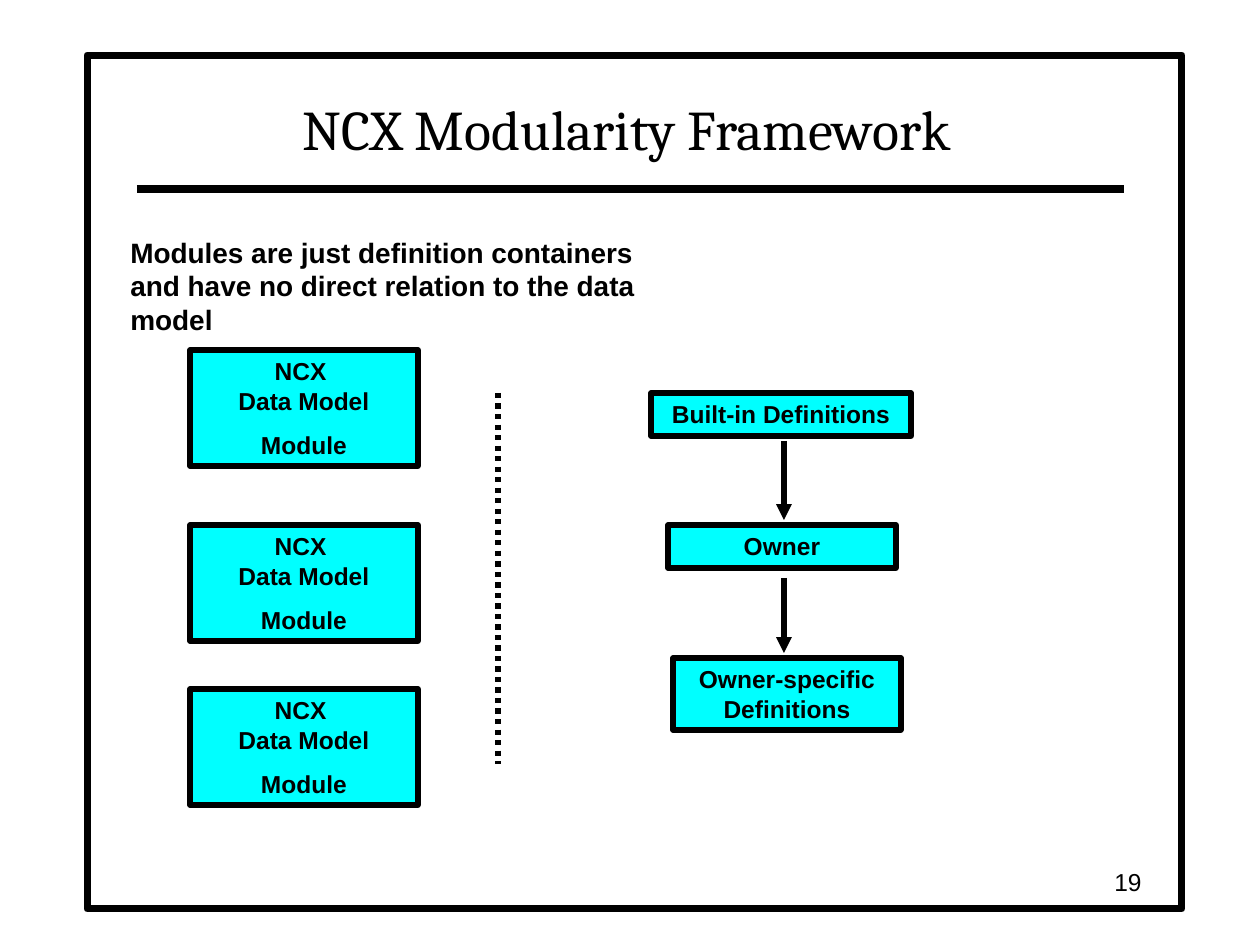
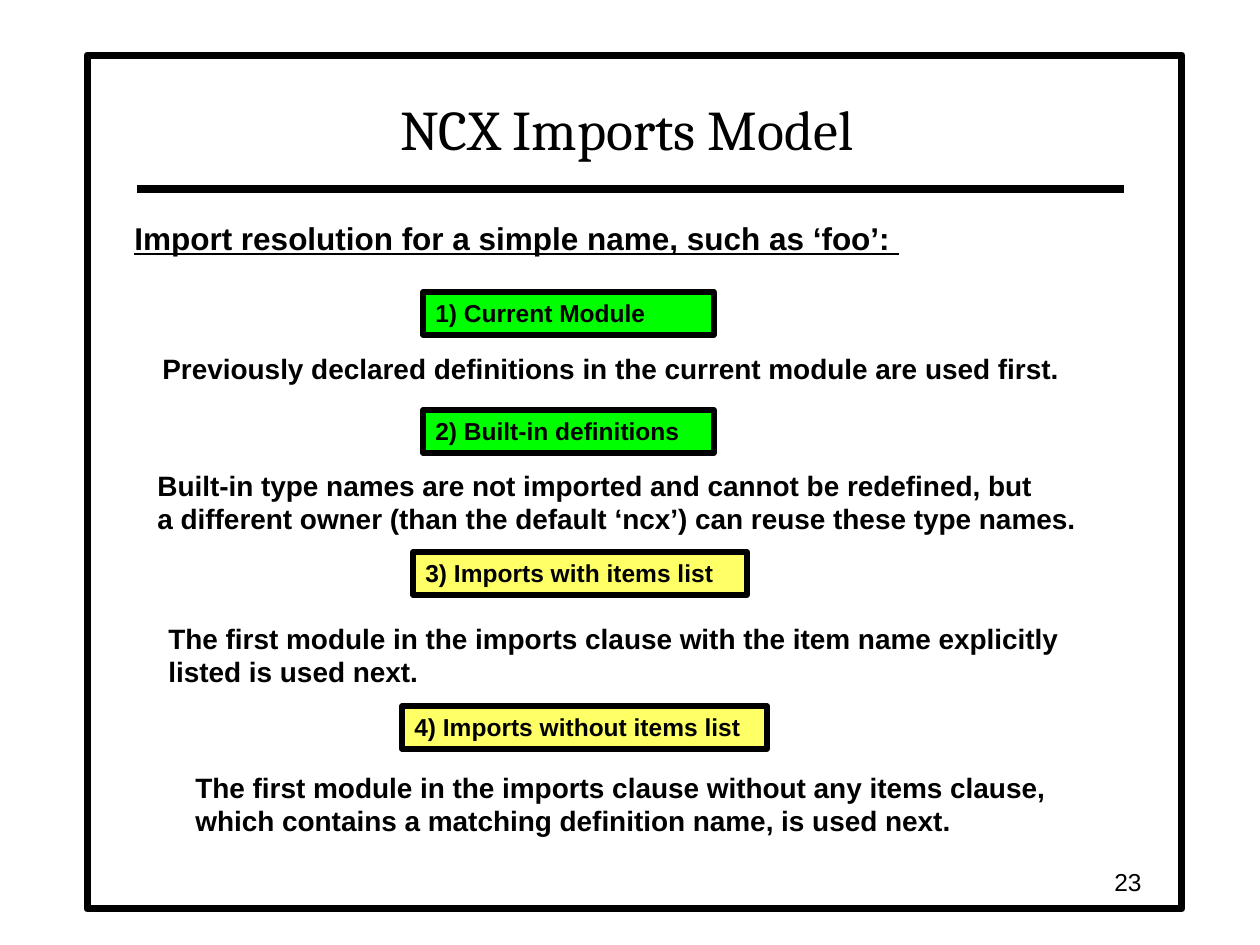
"""Builds two slides on NCX modules: the modularity framework and the imports model."""
from dataclasses import dataclass

from lxml.etree import SubElement
from pptx import Presentation
from pptx.dml.color import RGBColor
from pptx.enum.dml import MSO_LINE
from pptx.enum.shapes import MSO_CONNECTOR, MSO_SHAPE
from pptx.enum.text import MSO_ANCHOR, MSO_AUTO_SIZE, PP_ALIGN
from pptx.oxml.ns import qn
from pptx.util import Emu, Pt


@dataclass(frozen=True)
class Theme:
    black: str = "000000"
    white: str = "FFFFFF"
    cyan: str = "00FFFF"
    green: str = "00FF00"
    yellow: str = "FFFF66"
    title_font: str = "Cambria"
    body_font: str = "Arial"
    title_size: int = 32
    heading_size: int = 18
    note_size: int = 16
    label_size: int = 14
    paragraph_gap: float = 8.8
    frame_line: float = 4
    rule_line: float = 4.5
    shape_line: float = 3


THEME = Theme()
EMU_PER_PX = 914400 // 126
SLIDE_SIZE = (1260, 945)
FRAME = (87, 55, 1095, 854)
RULE = (137, 189, 1124, 189)
TITLE = (136, 73, 982, 95)
PAGE_NUMBER = (892, 861, 262, 42)
LABEL_HEIGHT = 43
NOTE_HEIGHTS = {1: 47, 2: 81}

FRAMEWORK = {
    "title": "NCX Modularity Framework",
    "number": "19",
    "note": ("Modules are just definition containers\n"
             "and have no direct relation to the data model", 118, 229, 619),
    "module": ["NCX \nData Model", "Module"],
    "module_left": 190,
    "module_size": (228, 116),
    "module_tops": [350, 525, 689],
    "chain": [
        ("Built-in Definitions", (651, 393, 260, LABEL_HEIGHT)),
        ("Owner", (668, 525, 228, LABEL_HEIGHT)),
        ("Owner-specific\nDefinitions", (673, 658, 228, 72)),
    ],
    "arrow_x": 784,
    "arrow_spans": [(441, 520), (578, 653)],
    "divider": (498, 393, 498, 764),
}

IMPORTS = {
    "title": "NCX Imports Model",
    "number": "23",
    "heading": ("Import resolution for a simple name, such as ‘foo’: ", (122, 213, 790, 50)),
    "steps": [
        ("1) Current Module", THEME.green, 423, 292, 291),
        ("2) Built-in definitions", THEME.green, 423, 410, 291),
        ("3) Imports with items list", THEME.yellow, 413, 552, 334),
        ("4) Imports without items list", THEME.yellow, 402, 706, 365),
    ],
    "notes": [
        ("Previously declared definitions in the current module are used first.",
         150, 345, 930),
        ("Built-in type names are not imported and cannot be redefined, but\n"
         "a different owner (than the default ‘ncx’) can reuse these type names.",
         145, 462, 944),
        ("The first module in the imports clause with the item name explicitly \n"
         "listed is used next.", 156, 615, 924),
        ("The first module in the imports clause without any items clause,\n"
         "which contains a matching definition name, is used next.", 183, 764, 876),
    ],
}


def px(*lengths):
    return [Emu(length * EMU_PER_PX) for length in lengths]


def color(value):
    return RGBColor.from_string(value)


def write(box, paragraphs, size, align=PP_ALIGN.LEFT, bold=True, font=THEME.body_font,
          underline=None):
    frame = box.text_frame
    for index, text in enumerate(paragraphs):
        para = frame.add_paragraph() if index else frame.paragraphs[0]
        para.text = text
        para.alignment = align
        para.space_before = Pt(THEME.paragraph_gap if index else 0)
        para.font.name = font
        para.font.size = Pt(size)
        para.font.bold = bold
        para.font.underline = underline
        para.font.color.rgb = color(THEME.black)


def add_box(page, place, fill, line_width=THEME.shape_line):
    box = page.shapes.add_shape(MSO_SHAPE.RECTANGLE, *px(*place))
    box.shadow.inherit = False
    box.fill.solid()
    box.fill.fore_color.rgb = color(fill)
    box.line.color.rgb = color(THEME.black)
    box.line.width = Pt(line_width)
    return box


def add_label(page, place, fill, paragraphs, align=PP_ALIGN.CENTER):
    box = add_box(page, place, fill)
    box.text_frame.word_wrap = True
    box.text_frame.vertical_anchor = MSO_ANCHOR.TOP
    box.text_frame.auto_size = MSO_AUTO_SIZE.SHAPE_TO_FIT_TEXT
    write(box, paragraphs, THEME.label_size, align)


def add_text(page, place, text, size, underline=None):
    box = page.shapes.add_textbox(*px(*place))
    box.text_frame.word_wrap = False
    box.text_frame.auto_size = MSO_AUTO_SIZE.SHAPE_TO_FIT_TEXT
    write(box, [text], size, underline=underline)


def add_note(page, text, left, top, width):
    height = NOTE_HEIGHTS[len(text.splitlines())]
    add_text(page, (left, top, width, height), text, THEME.note_size)


def add_line(page, ends, width=THEME.shape_line, dash=None, arrow=False):
    connector = page.shapes.add_connector(MSO_CONNECTOR.STRAIGHT, *px(*ends))
    connector.line.color.rgb = color(THEME.black)
    connector.line.width = Pt(width)
    if dash:
        connector.line.dash_style = dash
    properties = connector.element.spPr
    if arrow:
        SubElement(properties.find(qn("a:ln")), qn("a:tailEnd"), type="triangle")
    SubElement(properties, qn("a:effectLst"))
    return connector


def decorate_layout(page):
    parts = [add_box(page, FRAME, THEME.white, THEME.frame_line),
             add_line(page, RULE, THEME.rule_line)]
    for number, part in enumerate(parts, start=101):
        part.element.xpath(".//p:cNvPr")[0].set("id", str(number))
        page.slide_layout.shapes.element.append(part.element)


def add_page(deck, content):
    page = deck.slides.add_slide(deck.slide_layouts[5])
    title = page.shapes.title
    title.left, title.top, title.width, title.height = px(*TITLE)
    title.text_frame.word_wrap = True
    title.text_frame.auto_size = MSO_AUTO_SIZE.NONE
    title.text_frame.vertical_anchor = MSO_ANCHOR.BOTTOM
    write(title, [content["title"]], THEME.title_size, PP_ALIGN.CENTER, False,
          THEME.title_font)
    number = page.shapes.add_textbox(*px(*PAGE_NUMBER))
    number.text_frame.word_wrap = True
    number.text_frame.vertical_anchor = MSO_ANCHOR.MIDDLE
    write(number, [content["number"]], THEME.label_size, PP_ALIGN.RIGHT, False)
    return page


def fill_framework(page):
    add_note(page, *FRAMEWORK["note"])
    for top in FRAMEWORK["module_tops"]:
        place = (FRAMEWORK["module_left"], top, *FRAMEWORK["module_size"])
        add_label(page, place, THEME.cyan, FRAMEWORK["module"])
    add_line(page, FRAMEWORK["divider"], dash=MSO_LINE.ROUND_DOT)
    for text, place in FRAMEWORK["chain"]:
        add_label(page, place, THEME.cyan, [text])
    arrow_x = FRAMEWORK["arrow_x"]
    for start, end in FRAMEWORK["arrow_spans"]:
        add_line(page, (arrow_x, start, arrow_x, end), arrow=True)


def fill_imports(page):
    heading, place = IMPORTS["heading"]
    add_text(page, place, heading, THEME.heading_size, underline=True)
    for text, fill, left, top, width in IMPORTS["steps"]:
        add_label(page, (left, top, width, LABEL_HEIGHT), fill, [text], PP_ALIGN.LEFT)
    for note in IMPORTS["notes"]:
        add_note(page, *note)


def main():
    deck = Presentation()
    deck.slide_width, deck.slide_height = px(*SLIDE_SIZE)
    framework_page = add_page(deck, FRAMEWORK)
    decorate_layout(framework_page)
    fill_framework(framework_page)
    fill_imports(add_page(deck, IMPORTS))
    deck.save("out.pptx")


if __name__ == "__main__":
    main()
